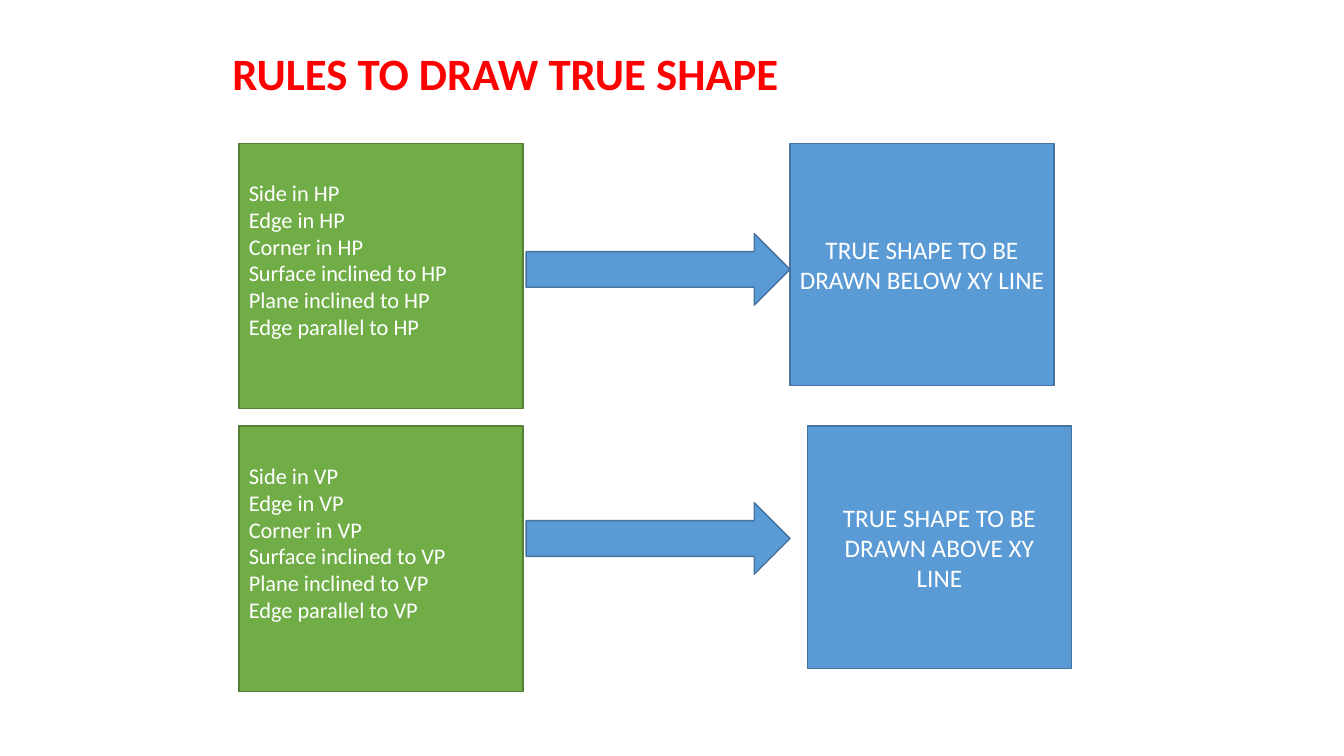
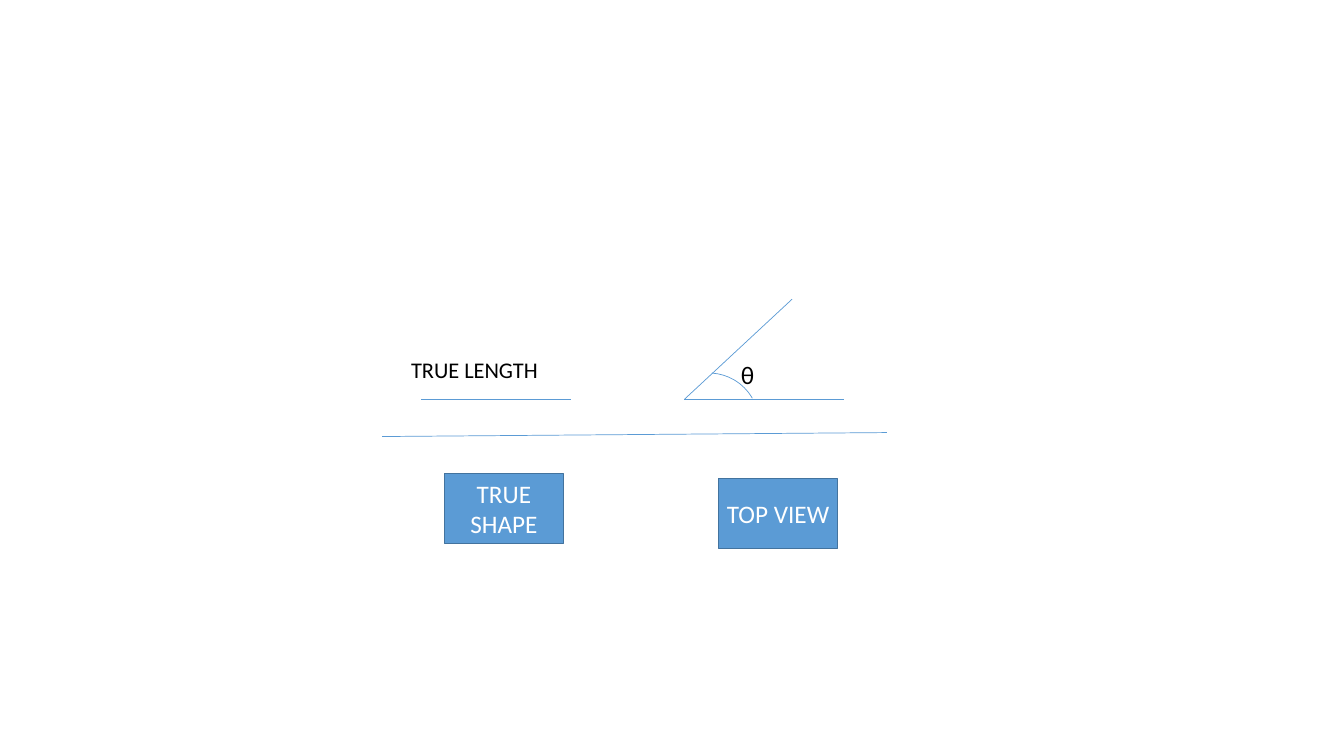
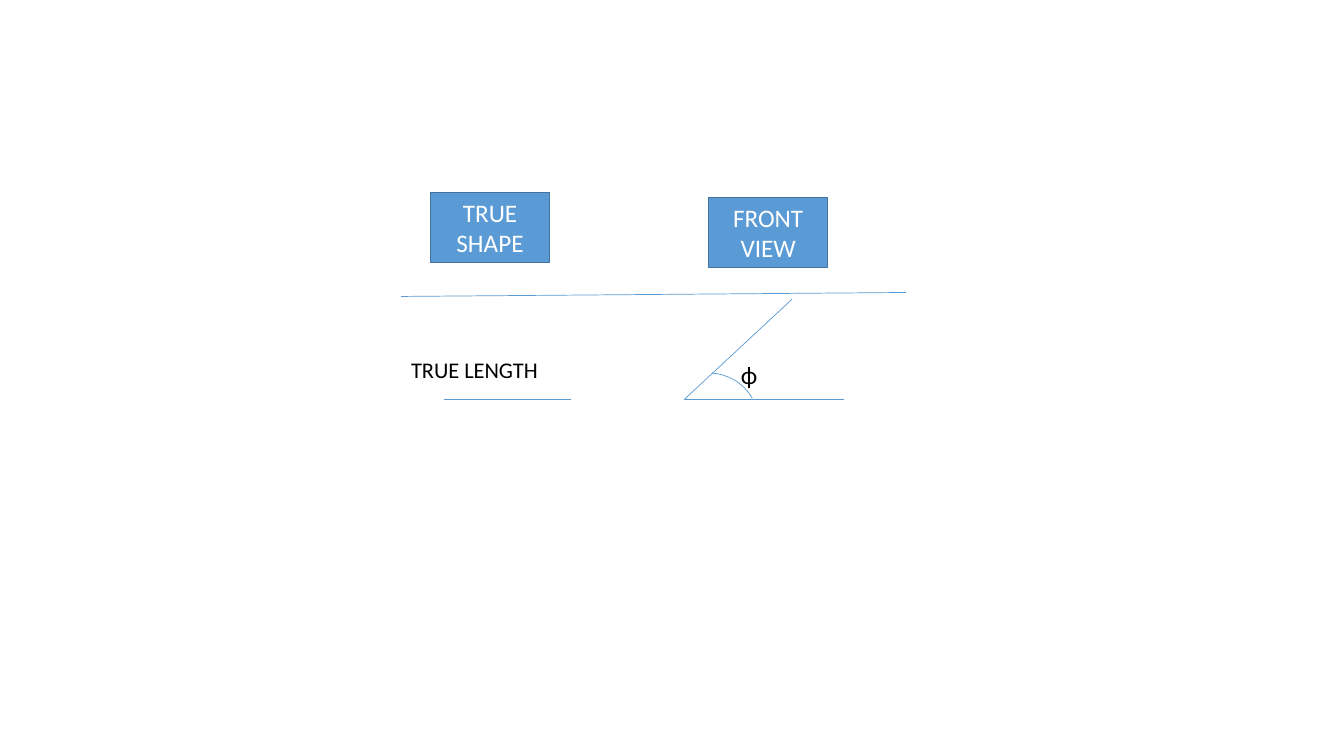
"""Build three slides on the rules for drawing true shapes."""
from dataclasses import dataclass

from lxml import etree
from pptx import Presentation
from pptx.dml.color import RGBColor
from pptx.enum.shapes import MSO_CONNECTOR, MSO_SHAPE
from pptx.enum.text import MSO_ANCHOR, PP_ALIGN
from pptx.oxml.ns import qn
from pptx.shapes.autoshape import Shape
from pptx.slide import Slide
from pptx.text.text import TextFrame
from pptx.util import Cm, Pt

RECTANGLE = MSO_SHAPE.RECTANGLE
RIGHT_ARROW = MSO_SHAPE.RIGHT_ARROW
ARC = MSO_SHAPE.ARC
STRAIGHT = MSO_CONNECTOR.STRAIGHT
TOP, MIDDLE = MSO_ANCHOR.TOP, MSO_ANCHOR.MIDDLE
LEFT, CENTER = PP_ALIGN.LEFT, PP_ALIGN.CENTER

FONT = "Calibri"
WHITE = RGBColor(0xFF, 0xFF, 0xFF)
BLACK = RGBColor(0x00, 0x00, 0x00)
RED = RGBColor(0xFF, 0x00, 0x00)
BLUE = RGBColor(0x5B, 0x9B, 0xD5)
BLUE_EDGE = RGBColor(0x43, 0x73, 0x9E)
GREEN = RGBColor(0x70, 0xAD, 0x47)
GREEN_EDGE = RGBColor(0x53, 0x80, 0x35)

CONDITIONS = (
    "Side in {0}", "Edge in {0}", "Corner in {0}",
    "Surface inclined to {0}", "Plane inclined to {0}", "Edge parallel to {0}",
)
BASE_LINE = 10.06
ARC_UNITS_PER_DEGREE = 0.6


@dataclass(frozen=True)
class Box:
    """Position and size in centimetres."""
    left: float
    top: float
    width: float
    height: float

    def lengths(self) -> tuple[Cm, Cm, Cm, Cm]:
        """Return the four values as slide lengths."""
        return Cm(self.left), Cm(self.top), Cm(self.width), Cm(self.height)


@dataclass(frozen=True)
class TextStyle:
    """Look of the paragraphs in one frame."""
    size: int
    color: RGBColor
    bold: bool = False
    align: PP_ALIGN = LEFT


@dataclass(frozen=True)
class Rule:
    """One row: the conditions for a plane and where to draw."""
    plane: str
    top: float
    arrow_top: float
    result_left: float
    result: str


@dataclass(frozen=True)
class View:
    """One view slide; the places that differ are in centimetres."""
    name: str
    angle: str
    xy_left: float
    xy_top: float
    shape_left: float
    shape_top: float
    view_left: float
    view_top: float
    length_left: float


TITLE_STYLE = TextStyle(32, RED, bold=True)
LIST_STYLE = TextStyle(16, WHITE)
BLOCK_STYLE = TextStyle(18, WHITE, align=CENTER)
LENGTH_STYLE = TextStyle(16, BLACK)
ANGLE_STYLE = TextStyle(18, BLACK)

RULES = (
    Rule("HP", 3.61, 5.89, 19.91, "TRUE SHAPE TO BE DRAWN BELOW XY LINE"),
    Rule("VP", 10.74, 12.67, 20.35, "TRUE SHAPE TO BE DRAWN ABOVE XY\vLINE"),
)
VIEWS = (
    View("TOP VIEW", "θ", 9.63, 10.9, 11.2, 11.94, 18.11, 12.06, 10.62),
    View("FRONT VIEW", "ϕ", 10.11, 7.37, 10.85, 4.85, 17.86, 4.98, 11.2),
)


def write(frame: TextFrame, lines: list[str], style: TextStyle) -> None:
    """Fill a frame with one paragraph for each line."""
    frame.word_wrap = True
    for index, line in enumerate(lines):
        paragraph = frame.paragraphs[0] if index == 0 else frame.add_paragraph()
        paragraph.text = line
        paragraph.alignment = style.align
        paragraph.font.name = FONT
        paragraph.font.size = Pt(style.size)
        paragraph.font.bold = style.bold
        paragraph.font.color.rgb = style.color


def add_label(slide: Slide, box: Box, text: str, style: TextStyle) -> None:
    """Add a plain text box."""
    write(slide.shapes.add_textbox(*box.lengths()).text_frame, [text], style)


def add_solid(slide: Slide, kind: MSO_SHAPE, box: Box,
              fill: RGBColor = BLUE, edge: RGBColor = BLUE_EDGE) -> Shape:
    """Add a filled and outlined shape."""
    shape = slide.shapes.add_shape(kind, *box.lengths())
    shape.shadow.inherit = False
    shape.fill.solid()
    shape.fill.fore_color.rgb = fill
    shape.line.color.rgb = edge
    shape.line.width = Pt(1)
    return shape


def add_block(slide: Slide, box: Box, text: str) -> None:
    """Add a blue block with centred text."""
    frame = add_solid(slide, RECTANGLE, box).text_frame
    frame.vertical_anchor = MIDDLE
    frame.margin_left = frame.margin_right = Cm(0.2)
    write(frame, [text], BLOCK_STYLE)


def add_line(slide: Slide, left: float, top: float, right: float, bottom: float) -> None:
    """Add a thin blue line between two points."""
    line = slide.shapes.add_connector(STRAIGHT, Cm(left), Cm(top), Cm(right), Cm(bottom))
    line.line.color.rgb = BLUE
    line.line.width = Pt(0.5)
    etree.SubElement(line._element.spPr, qn("a:effectLst"))


def add_angle(slide: Slide, symbol: str) -> None:
    """Add two rays, the arc between them and the symbol of the angle."""
    corner = 17.25
    add_line(slide, 19.96, 7.54, corner, BASE_LINE)
    add_line(slide, corner, BASE_LINE, 21.28, BASE_LINE)
    arc = slide.shapes.add_shape(ARC, *Box(16.59, 9.4, 2.54, 2.54).lengths())
    arc.shadow.inherit = False
    arc.fill.background()
    arc.line.color.rgb = BLUE
    arc.line.width = Pt(0.5)
    for index, degrees in enumerate((273.73, 330.08)):
        arc.adjustments[index] = degrees * ARC_UNITS_PER_DEGREE
    add_label(slide, Box(18.42, 8.94, 0.94, 1.02), symbol, ANGLE_STYLE)


def add_rule(slide: Slide, rule: Rule) -> None:
    """Add conditions, arrow and result in one row."""
    conditions = add_solid(slide, RECTANGLE, Box(6.02, rule.top, 7.16, 6.68), GREEN, GREEN_EDGE)
    frame = conditions.text_frame
    frame.vertical_anchor = TOP
    frame.margin_top = Cm(0.9)
    write(frame, [condition.format(rule.plane) for condition in CONDITIONS], LIST_STYLE)
    add_solid(slide, RIGHT_ARROW, Box(13.26, rule.arrow_top, 6.65, 1.8))
    add_block(slide, Box(rule.result_left, rule.top, 6.65, 6.1), rule.result)


def add_view(slide: Slide, view: View) -> None:
    """Draw the XY line, the two named views and the angle."""
    add_line(slide, view.xy_left, view.xy_top + 0.1, view.xy_left + 12.72, view.xy_top)
    add_block(slide, Box(view.shape_left, view.shape_top, 3, 1.76), "TRUE SHAPE")
    add_line(slide, view.length_left, BASE_LINE, 14.4, BASE_LINE)
    add_label(slide, Box(10.11, 8.84, 5.36, 0.94), "TRUE LENGTH", LENGTH_STYLE)
    add_angle(slide, view.angle)
    add_block(slide, Box(view.view_left, view.view_top, 3, 1.76), view.name)


def main() -> None:
    """Build and save the presentation."""
    presentation = Presentation()
    presentation.slide_width = Cm(33.87)
    presentation.slide_height = Cm(19.05)
    blank = presentation.slide_layouts[6]

    rules_slide = presentation.slides.add_slide(blank)
    add_label(rules_slide, Box(5.61, 1.04, 21.97, 1.63), "RULES TO DRAW TRUE SHAPE", TITLE_STYLE)
    for rule in RULES:
        add_rule(rules_slide, rule)
    for view in VIEWS:
        add_view(presentation.slides.add_slide(blank), view)

    presentation.save("out.pptx")


if __name__ == "__main__":
    main()
